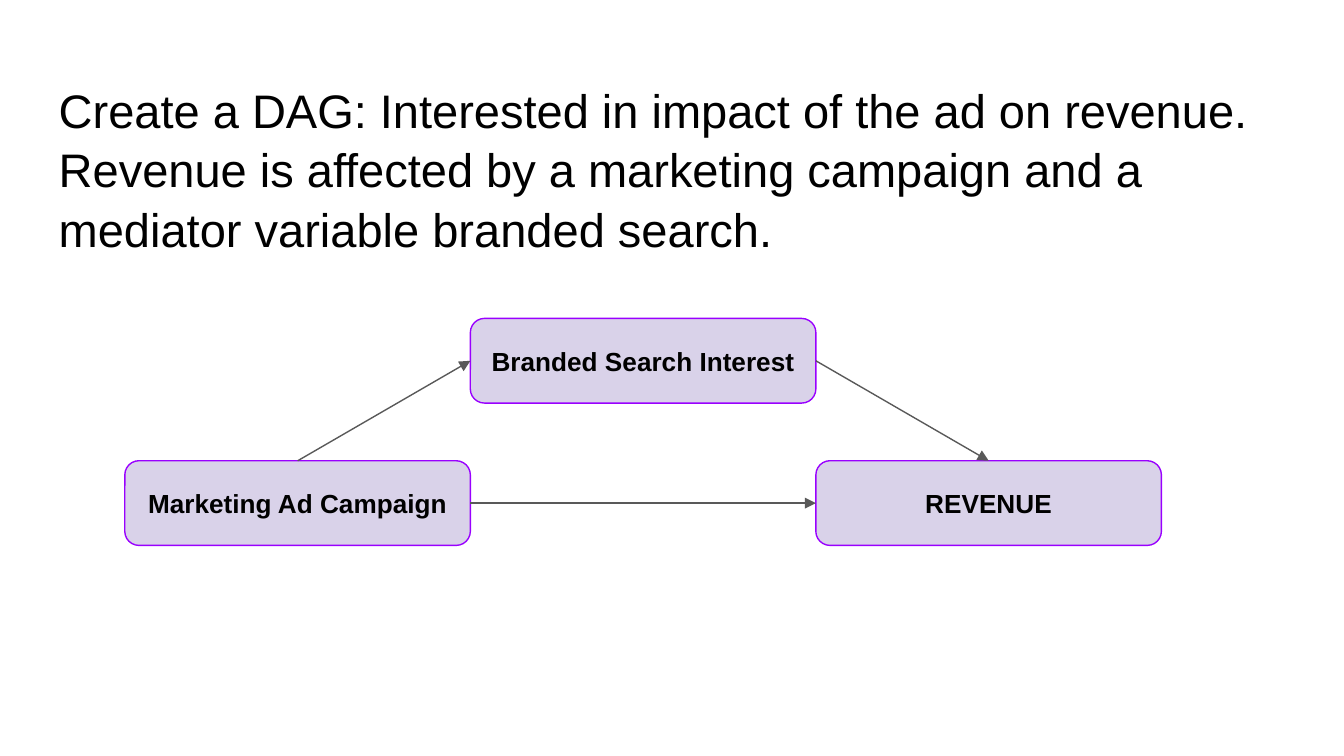
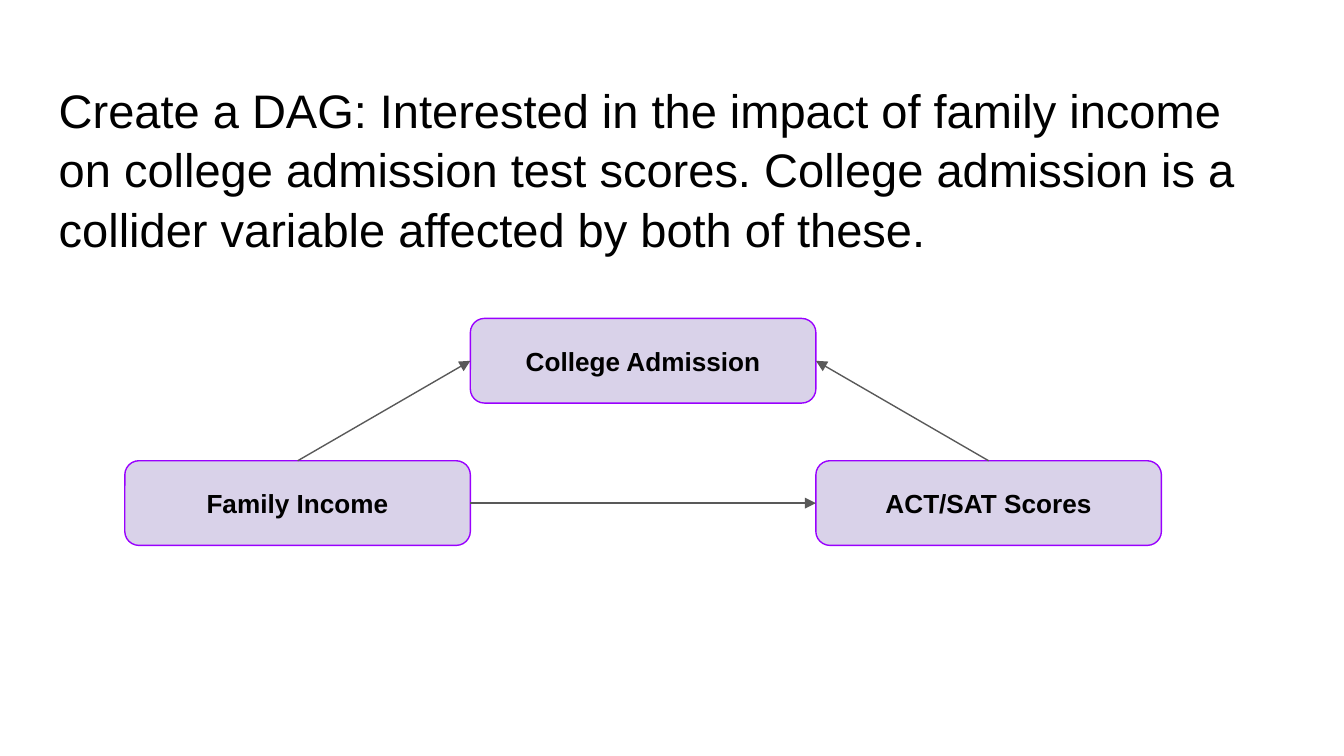
import pptx
import pptx.dml.color
import pptx.enum.shapes
import pptx.enum.text
import pptx.oxml
import pptx.util
from pptx.util import Cm

COLOURS = {
    "paper": "FFFFFF",
    "text": "000000",
    "node_fill": "D9D2E9",
    "node_line": "9900FF",
    "arrow": "595959",
}

# Connection sites of a rounded rectangle
TOP, LEFT, RIGHT = 0, 1, 3

# Node positions: three touching columns, two rows
NODE_WIDTH, NODE_HEIGHT = 6.53, 1.6
FIRST_COLUMN = 2.36
UPPER_ROW, LOWER_ROW = 6.02, 8.71
PLACES = {
    "right": (FIRST_COLUMN + 2 * NODE_WIDTH, LOWER_ROW),
    "left": (FIRST_COLUMN, LOWER_ROW),
    "middle": (FIRST_COLUMN + NODE_WIDTH, UPPER_ROW),
}

# Arrows: start node, start site, end node, end site
DIRECT = ("left", RIGHT, "right", LEFT)
LEFT_TO_MIDDLE = ("left", TOP, "middle", LEFT)
MIDDLE_TO_RIGHT = ("middle", RIGHT, "right", TOP)
RIGHT_TO_MIDDLE = ("right", TOP, "middle", RIGHT)

DIAGRAMS = [
    {
        "title": "Create a DAG: Interested in impact of the ad on revenue. "
                 "Revenue is affected by a marketing campaign and a "
                 "mediator variable branded search.",
        "nodes": {"right": "REVENUE", "left": "Marketing Ad Campaign",
                  "middle": "Branded Search Interest"},
        "arrows": [DIRECT, LEFT_TO_MIDDLE, MIDDLE_TO_RIGHT],
    },
    {
        "title": "Create a DAG: Interested in the impact of family income "
                 "on college admission test scores. College admission is a "
                 "collider variable affected by both of these.",
        "nodes": {"right": "ACT/SAT Scores", "left": "Family Income",
                  "middle": "College Admission"},
        "arrows": [LEFT_TO_MIDDLE, RIGHT_TO_MIDDLE, DIRECT],
    },
]


def colour(name):
    return pptx.dml.color.RGBColor.from_string(COLOURS[name])


class DagDeck:
    """Holds the shared style and the current slide."""

    font = "Arial"
    line_width = pptx.util.Pt(0.75)
    inset = Cm(0.25)

    def __init__(self):
        self.deck = pptx.Presentation()
        self.deck.slide_width = Cm(25.4)
        self.deck.slide_height = Cm(14.29)
        self.page = None

    def new_page(self):
        self.page = self.deck.slides.add_slide(self.deck.slide_layouts[6])
        fill = self.page.background.fill
        fill.solid()
        fill.fore_color.rgb = colour("paper")

    def add_text(self, box, text, size, bold=False):
        frame = box.text_frame
        frame.word_wrap = True
        frame.margin_left = frame.margin_right = self.inset
        frame.margin_top = frame.margin_bottom = self.inset
        para = frame.paragraphs[0]
        span = para.add_run()
        span.text = text
        span.font.name = self.font
        span.font.size = pptx.util.Pt(size)
        span.font.bold = bold
        span.font.color.rgb = colour("text")
        return para

    def title(self, text):
        box = self.page.shapes.add_textbox(
            Cm(0.86), Cm(1.24), Cm(23.67), Cm(1.6))
        para = self.add_text(box, text, 25.2)
        para.line_spacing = 1.05

    def node(self, text, left, top):
        box = self.page.shapes.add_shape(
            pptx.enum.shapes.MSO_SHAPE.ROUNDED_RECTANGLE,
            Cm(left), Cm(top), Cm(NODE_WIDTH), Cm(NODE_HEIGHT))
        box.shadow.inherit = False
        box.fill.solid()
        box.fill.fore_color.rgb = colour("node_fill")
        box.line.color.rgb = colour("node_line")
        box.line.width = self.line_width
        para = self.add_text(box, text, 14, bold=True)
        para.alignment = pptx.enum.text.PP_ALIGN.CENTER
        box.text_frame.vertical_anchor = pptx.enum.text.MSO_ANCHOR.MIDDLE
        return box

    def arrow(self, start, start_site, end, end_site):
        link = self.page.shapes.add_connector(
            pptx.enum.shapes.MSO_CONNECTOR.STRAIGHT, 0, 0, 0, 0)
        link.begin_connect(start, start_site)
        link.end_connect(end, end_site)
        link.line.color.rgb = colour("arrow")
        link.line.width = self.line_width
        # Arrowhead at the end, and no shadow
        properties = link._element.spPr
        outline = properties.find(pptx.oxml.ns.qn("a:ln"))
        outline.append(outline.makeelement(
            pptx.oxml.ns.qn("a:tailEnd"), {"type": "triangle"}))
        properties.append(
            properties.makeelement(pptx.oxml.ns.qn("a:effectLst"), {}))

    def diagram(self, title, nodes, arrows):
        self.new_page()
        self.title(title)
        boxes = {place: self.node(text, *PLACES[place])
                 for place, text in nodes.items()}
        for start, start_site, end, end_site in arrows:
            self.arrow(boxes[start], start_site, boxes[end], end_site)


def main():
    builder = DagDeck()
    for diagram in DIAGRAMS:
        builder.diagram(**diagram)
    builder.deck.save("out.pptx")


if __name__ == "__main__":
    main()
